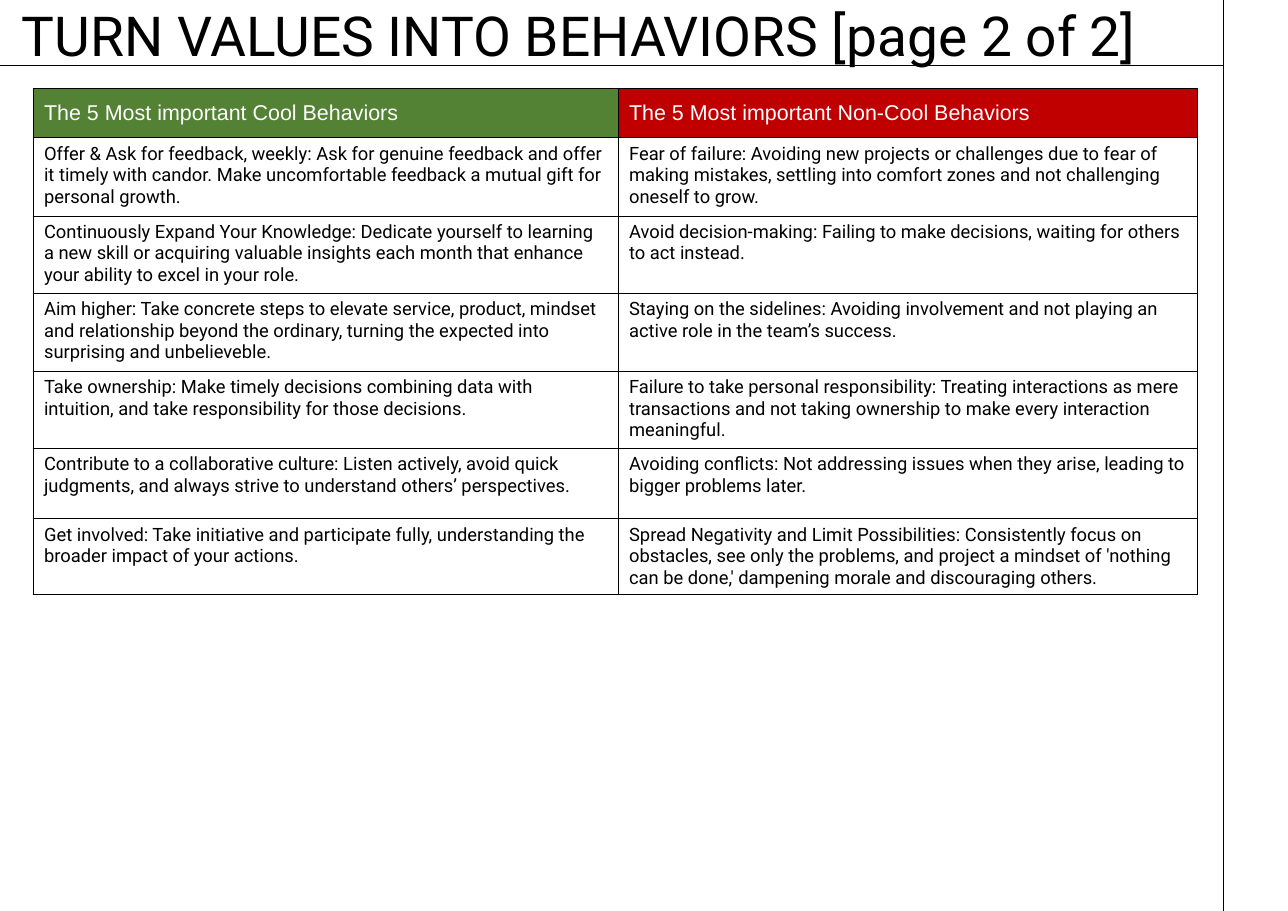
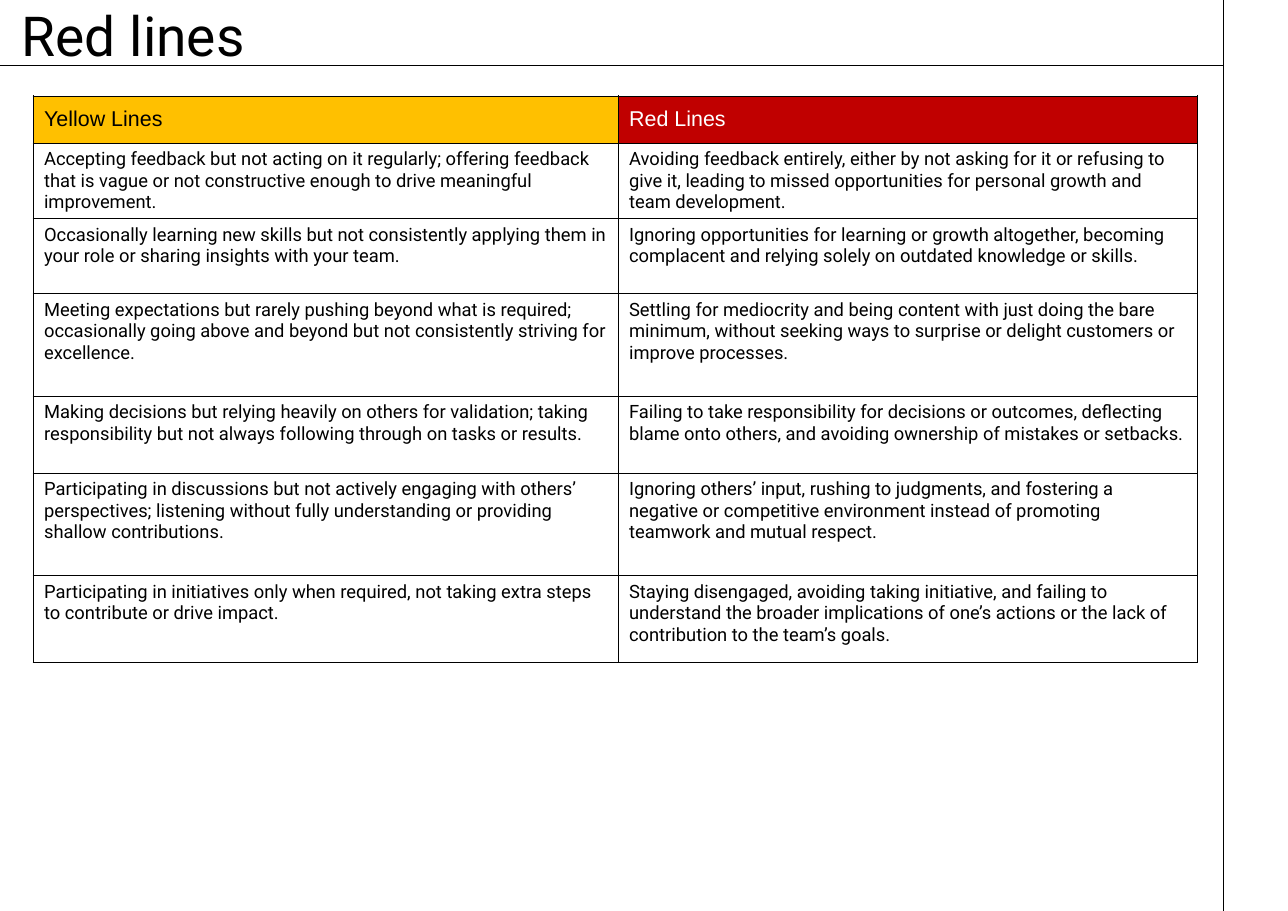
from lxml import etree
from pptx import Presentation
from pptx.dml.color import RGBColor
from pptx.enum.shapes import MSO_CONNECTOR
from pptx.enum.text import MSO_ANCHOR, MSO_AUTO_SIZE
from pptx.oxml import parse_xml
from pptx.oxml.ns import nsdecls, qn
from pptx.util import Inches, Pt

COLORS = {
    "black": "000000",
    "white": "FFFFFF",
    "green": "548235",
    "red": "C00000",
    "yellow": "FFC000",
}
SLIDE_WIDTH, SLIDE_HEIGHT = 11.69, 8.27
RULE_X, RULE_Y = 11.1, 0.59
RULE_WIDTH = 0.5
TITLE_BOX = (0.1, 0.23, 10.57, 0.44)
TABLE_LEFT = 0.3
COLUMN_WIDTHS = (5.31, 5.26)

BEHAVIORS = {
    "title": "TURN VALUES INTO BEHAVIORS [page 2 of 2]",
    "top": 0.8,
    "heights": (0.45, 0.71, 0.7, 0.71, 0.7, 0.64, 0.68),
    "headers": (
        ("The 5 Most important Cool Behaviors", "green", "white"),
        ("The 5 Most important Non-Cool Behaviors", "red", "white"),
    ),
    "rows": (
        ("Offer & Ask for feedback, weekly: Ask for genuine feedback and offer it timely with candor. "
         "Make uncomfortable feedback a mutual gift for personal growth.",
         "Fear of failure: Avoiding new projects or challenges due to fear of making mistakes, "
         "settling into comfort zones and not challenging oneself to grow."),
        ("Continuously Expand Your Knowledge: Dedicate yourself to learning a new skill or acquiring "
         "valuable insights each month that enhance your ability to excel in your role.",
         "Avoid decision-making: Failing to make decisions, waiting for others to act instead."),
        ("Aim higher: Take concrete steps to elevate service, product, mindset and relationship beyond "
         "the ordinary, turning the expected into surprising and unbelieveble.",
         "Staying on the sidelines: Avoiding involvement and not playing an active role in the "
         "team’s success."),
        ("Take ownership: Make timely decisions combining data with intuition, and take responsibility "
         "for those decisions.",
         "Failure to take personal responsibility: Treating interactions as mere transactions and not "
         "taking ownership to make every interaction meaningful."),
        ("Contribute to a collaborative culture: Listen actively, avoid quick judgments, and always "
         "strive to understand others’ perspectives.",
         "Avoiding conflicts: Not addressing issues when they arise, leading to bigger problems later."),
        ("Get involved: Take initiative and participate fully, understanding the broader impact of "
         "your actions.",
         "Spread Negativity and Limit Possibilities: Consistently focus on obstacles, see only the "
         "problems, and project a mindset of 'nothing can be done,' dampening morale and "
         "discouraging others."),
    ),
}

RED_LINES = {
    "title": "Red lines",
    "top": 0.87,
    "heights": (0.43, 0.68, 0.68, 0.93, 0.7, 0.93, 0.79),
    "headers": (("Yellow Lines", "yellow", "black"), ("Red Lines", "red", "white")),
    "rows": (
        ("Accepting feedback but not acting on it regularly; offering feedback that is vague or not "
         "constructive enough to drive meaningful improvement.",
         "Avoiding feedback entirely, either by not asking for it or refusing to give it, leading to "
         "missed opportunities for personal growth and team development."),
        ("Occasionally learning new skills but not consistently applying them in your role or sharing "
         "insights with your team.",
         "Ignoring opportunities for learning or growth altogether, becoming complacent and relying "
         "solely on outdated knowledge or skills."),
        ("Meeting expectations but rarely pushing beyond what is required; occasionally going above "
         "and beyond but not consistently striving for excellence.",
         "Settling for mediocrity and being content with just doing the bare minimum, without seeking "
         "ways to surprise or delight customers or improve processes."),
        ("Making decisions but relying heavily on others for validation; taking responsibility but "
         "not always following through on tasks or results.",
         "Failing to take responsibility for decisions or outcomes, deflecting blame onto others, and "
         "avoiding ownership of mistakes or setbacks."),
        ("Participating in discussions but not actively engaging with others’ perspectives; listening "
         "without fully understanding or providing shallow contributions.",
         "Ignoring others’ input, rushing to judgments, and fostering a negative or competitive "
         "environment instead of promoting teamwork and mutual respect."),
        ("Participating in initiatives only when required, not taking extra steps to contribute or "
         "drive impact.",
         "Staying disengaged, avoiding taking initiative, and failing to understand the broader "
         "implications of one’s actions or the lack of contribution to the team’s goals."),
    ),
}


def rgb(name):
    """Return the named colour."""
    return RGBColor.from_string(COLORS[name])


def write_text(frame, text, *, size=12, font="Roboto", color="black", spacing=None):
    """Write one formatted paragraph into a text frame."""
    paragraph = frame.paragraphs[0]
    paragraph.line_spacing = spacing
    run = paragraph.add_run()
    run.text = text
    run.font.name = font
    run.font.size = Pt(size)
    run.font.bold = False
    run.font.color.rgb = rgb(color)


def add_rule(slide, start, end):
    """Draw one thin straight line."""
    points = [Inches(value) for value in (*start, *end)]
    connector = slide.shapes.add_connector(MSO_CONNECTOR.STRAIGHT, *points)
    connector.line.color.rgb = rgb("black")
    connector.line.width = Pt(RULE_WIDTH)
    properties = connector._element.find(qn("p:spPr"))
    etree.SubElement(properties, qn("a:effectLst"))


def add_frame(slide):
    """Draw the rules shared by all slides."""
    add_rule(slide, (RULE_X, RULE_Y), (0, RULE_Y))
    add_rule(slide, (RULE_X, SLIDE_HEIGHT), (RULE_X, 0))


def add_title(slide, text, box):
    """Place the slide title at the bottom of its box."""
    shape = slide.shapes.add_textbox(*[Inches(value) for value in box])
    frame = shape.text_frame
    frame.word_wrap = True
    frame.auto_size = MSO_AUTO_SIZE.NONE
    frame.vertical_anchor = MSO_ANCHOR.BOTTOM
    write_text(frame, text, size=36, spacing=0.9)


def set_borders(cell):
    """Give a cell a thin border on each side."""
    properties = cell._tc.get_or_add_tcPr()
    for index, side in enumerate("LRTB"):
        border = parse_xml(
            f'<a:ln{side} {nsdecls("a")} w="{Pt(RULE_WIDTH)}"><a:solidFill>'
            f'<a:srgbClr val="{COLORS["black"]}"/></a:solidFill></a:ln{side}>'
        )
        properties.insert(index, border)


def add_comparison(slide, left, top, headers, rows, heights):
    """Place a two-column table with coloured headers."""
    width = Inches(sum(COLUMN_WIDTHS))
    shape = slide.shapes.add_table(
        len(heights), len(COLUMN_WIDTHS), Inches(left), Inches(top), width, Inches(sum(heights))
    )
    table = shape.table
    table.first_row = table.horz_banding = False
    for column, column_width in zip(table.columns, COLUMN_WIDTHS):
        column.width = Inches(column_width)
    for row, height in zip(table.rows, heights):
        row.height = Inches(height)
    for column, (text, fill, color) in enumerate(headers):
        cell = table.cell(0, column)
        cell.fill.solid()
        cell.fill.fore_color.rgb = rgb(fill)
        cell.vertical_anchor = MSO_ANCHOR.MIDDLE
        write_text(cell.text_frame, text, size=14, font="Arial", color=color)
    for row, texts in enumerate(rows, start=1):
        for column, text in enumerate(texts):
            cell = table.cell(row, column)
            cell.fill.background()
            write_text(cell.text_frame, text)
    for cell in table.iter_cells():
        set_borders(cell)


def add_comparison_slide(presentation, content):
    """Build one slide with rules, a title and a table."""
    slide = presentation.slides.add_slide(presentation.slide_layouts[6])
    add_frame(slide)
    add_title(slide, content["title"], TITLE_BOX)
    add_comparison(
        slide, TABLE_LEFT, content["top"], content["headers"], content["rows"], content["heights"]
    )


def main():
    """Build and save the presentation."""
    presentation = Presentation()
    presentation.slide_width = Inches(SLIDE_WIDTH)
    presentation.slide_height = Inches(SLIDE_HEIGHT)
    for content in (BEHAVIORS, RED_LINES):
        add_comparison_slide(presentation, content)
    presentation.save("out.pptx")


if __name__ == "__main__":
    main()
